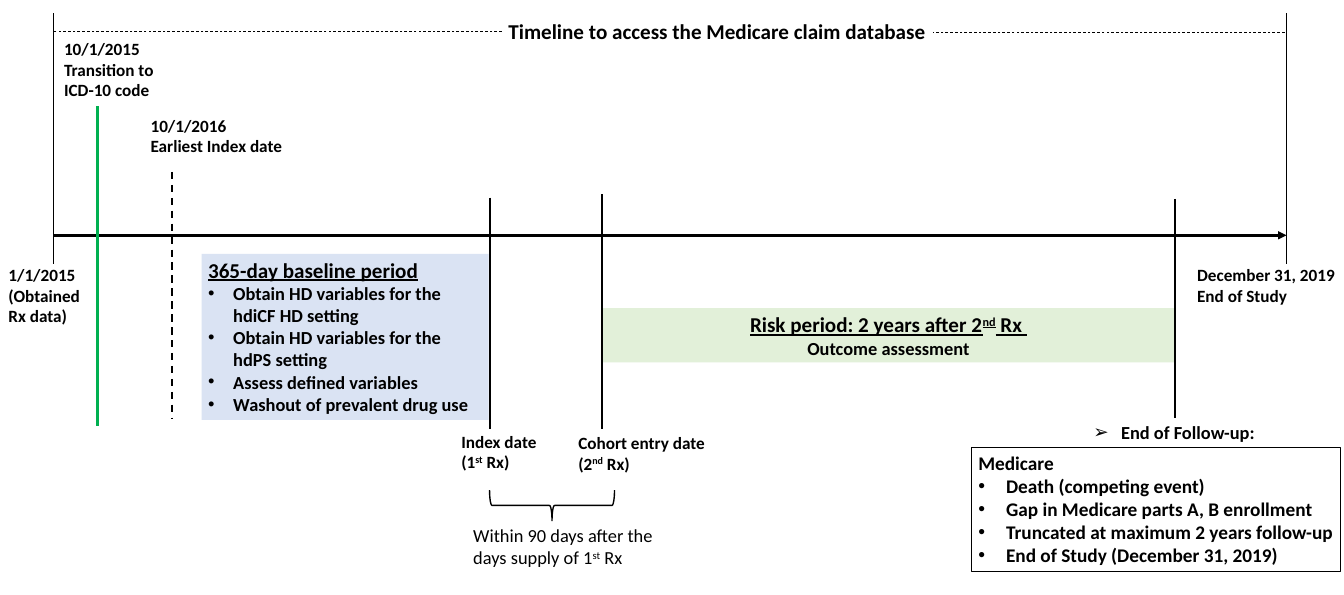
"""Build a study timeline slide with index, risk and follow-up periods."""
import pptx
import pptx.util
import pptx.dml.color
import pptx.enum.dml
import pptx.enum.shapes
import pptx.enum.text
import pptx.oxml
import pptx.oxml.ns

SCALE = 9144  # EMU per px
FONT = "Calibri"
COLORS = {"ink": "000000", "paper": "FFFFFF", "baseline": "DAE3F3",
          "risk": "E2F0D9", "transition": "00B050"}
LABEL, BODY, LIST, HEADING = 18.7, 20, 21, 23
LEFT, RIGHT, TOP, FOOT, AXIS = 81, 1946, 20, 399, 356
INDEX, ENTRY, FOLLOW_UP = 741, 910, 1777


def px(value):
    return pptx.util.Emu(value * SCALE)


def rgb(name):
    return pptx.dml.color.RGBColor.from_string(COLORS[name])


def add_element(parent, tag, **attributes):
    element = pptx.oxml.parse_xml(f"<a:{tag} {pptx.oxml.ns.nsdecls('a')}/>")
    for name, value in attributes.items():
        element.set(name, value)
    parent.append(element)


def fill_text(shape, paragraphs, size, wrap=True, bold=True, center=False, indent=38):
    """Write (text, options) paragraphs; carets enclose superscripts."""
    frame = shape.text_frame
    frame.auto_size = pptx.enum.text.MSO_AUTO_SIZE.NONE
    frame.word_wrap = wrap
    frame.vertical_anchor = pptx.enum.text.MSO_ANCHOR.TOP
    align = pptx.enum.text.PP_ALIGN
    for number, (text, options) in enumerate(paragraphs):
        para = frame.add_paragraph() if number else frame.paragraphs[0]
        para.alignment = align.CENTER if center else align.LEFT
        if "bullet" in options:
            properties = para._p.get_or_add_pPr()
            properties.set("marL", str(px(indent)))
            properties.set("indent", str(px(-indent)))
            add_element(properties, "buFont", typeface="Arial")
            add_element(properties, "buChar", char=options["bullet"])
        for position, part in enumerate(text.split("^")):
            span = para.add_run()
            span.text = part
            span.font.name = FONT
            span.font.size = pptx.util.Pt(options.get("size", size))
            span.font.bold = bold
            span.font.underline = options.get("underline", False)
            span.font.color.rgb = rgb("ink")
            if position % 2:
                span._r.get_or_add_rPr().set("baseline", "30000")


def plain(*texts):
    return [(text, {}) for text in texts]


def bullets(*texts, mark="•"):
    return [(text, {"bullet": mark}) for text in texts]


def heading(text):
    return (text, {"size": HEADING, "underline": True})


def add_title(page, text, left, top, width, height):
    title = page.shapes.title
    title.left, title.top, title.width, title.height = map(px, (left, top, width, height))
    fill_text(title, plain(text), HEADING, wrap=False)


def add_label(page, bounds, paragraphs, size=LABEL, **style):
    box = page.shapes.add_textbox(*map(px, bounds))
    fill_text(box, paragraphs, size, **style)


def add_shape(page, kind, bounds, fill=None, line_width=None):
    shape = page.shapes.add_shape(kind, *map(px, bounds))
    shape.shadow.inherit = False
    if fill:
        shape.fill.solid()
        shape.fill.fore_color.rgb = rgb(fill)
    else:
        shape.fill.background()
    if line_width:
        shape.line.color.rgb = rgb("ink")
        shape.line.width = pptx.util.Pt(line_width)
    else:
        shape.line.fill.background()
    return shape


def add_panel(page, bounds, fill, paragraphs, size, line_width=None, **style):
    panel = add_shape(page, pptx.enum.shapes.MSO_SHAPE.RECTANGLE, bounds, fill, line_width)
    fill_text(panel, paragraphs, size, **style)


def add_line(page, start, end, width=2, color="ink", dashed=False, arrow=False):
    line = page.shapes.add_connector(pptx.enum.shapes.MSO_CONNECTOR.STRAIGHT,
                                     *map(px, start + end))
    line.line.color.rgb = rgb(color)
    line.line.width = pptx.util.Pt(width)
    if dashed:
        line.line.dash_style = pptx.enum.dml.MSO_LINE.DASH
    if arrow:
        add_element(line.line._get_or_add_ln(), "tailEnd", type="triangle")
    add_element(line._element.spPr, "effectLst")


def add_brace(page, bounds):
    brace = add_shape(page, pptx.enum.shapes.MSO_SHAPE.LEFT_BRACE, bounds, line_width=1.5)
    brace.rotation = 270


def add_axis(page):
    add_line(page, (LEFT, AXIS), (RIGHT, AXIS), width=3, arrow=True)
    for x, top, bottom in ((LEFT, TOP, FOOT), (RIGHT, TOP, FOOT), (INDEX, 299, 649),
                           (ENTRY, 294, 649), (FOLLOW_UP, 301, 632)):
        add_line(page, (x, top), (x, bottom))
    add_line(page, (260, 260), (260, 632), dashed=True)
    add_line(page, (147, 161), (147, 645), width=3, color="transition")
    add_line(page, (759, 47), (LEFT, 47), width=0.75, dashed=True)
    add_line(page, (1943, 49), (1412, 49), width=0.75, dashed=True)


def add_dates(page):
    add_label(page, (3, 395, 144, 104), plain("1/1/2015", "(Obtained Rx data)"))
    add_label(page, (87, 53, 189, 104), plain("10/1/2015", "Transition to ICD-10 code"))
    add_label(page, (218, 169, 236, 73), plain("10/1/2016", "Earliest Index date"))
    add_label(page, (688, 647, 139, 73), plain("Index date", "(1^st^ Rx)"), wrap=False)
    add_label(page, (865, 649, 233, 73), plain("Cohort entry date", "(2^nd^ Rx)"))
    add_label(page, (1801, 395, 231, 73), plain("December 31, 2019", "End of Study"),
              wrap=False)


def add_periods(page):
    add_panel(page, (305, 384, 434, 251), "baseline",
              [heading("365-day baseline period")]
              + bullets("Obtain HD variables for the hdiCF HD setting",
                        "Obtain HD variables for the hdPS setting",
                        "Assess defined variables", "Washout of prevalent drug use"), BODY)
    add_panel(page, (911, 466, 866, 82), "risk",
              [heading("Risk period: 2 years after 2^nd^ Rx ")]
              + plain("Outcome assessment"), BODY, center=True)
    add_brace(page, (812, 670, 46, 189))
    add_label(page, (706, 788, 294, 77),
              plain("Within 90 days after the days supply of 1^st^ Rx"), BODY, bold=False)


def add_follow_up(page):
    add_label(page, (1644, 632, 266, 44), bullets("End of Follow-up:", mark="➢"), BODY,
              wrap=False, indent=42)
    add_panel(page, (1470, 677, 558, 187), "paper",
              plain("Medicare")
              + bullets("Death (competing event)", "Gap in Medicare parts A, B enrollment",
                        "Truncated at maximum 2 years follow-up",
                        "End of Study (December 31, 2019)"),
              LIST, line_width=0.75, indent=42)


def main():
    deck = pptx.Presentation()
    deck.slide_width, deck.slide_height = px(2033), px(900)
    page = deck.slides.add_slide(deck.slide_layouts[5])
    add_title(page, "Timeline to access the Medicare claim database", 759, 23, 658, 49)
    add_periods(page)
    add_axis(page)
    add_dates(page)
    add_follow_up(page)
    deck.save("out.pptx")


if __name__ == "__main__":
    main()
